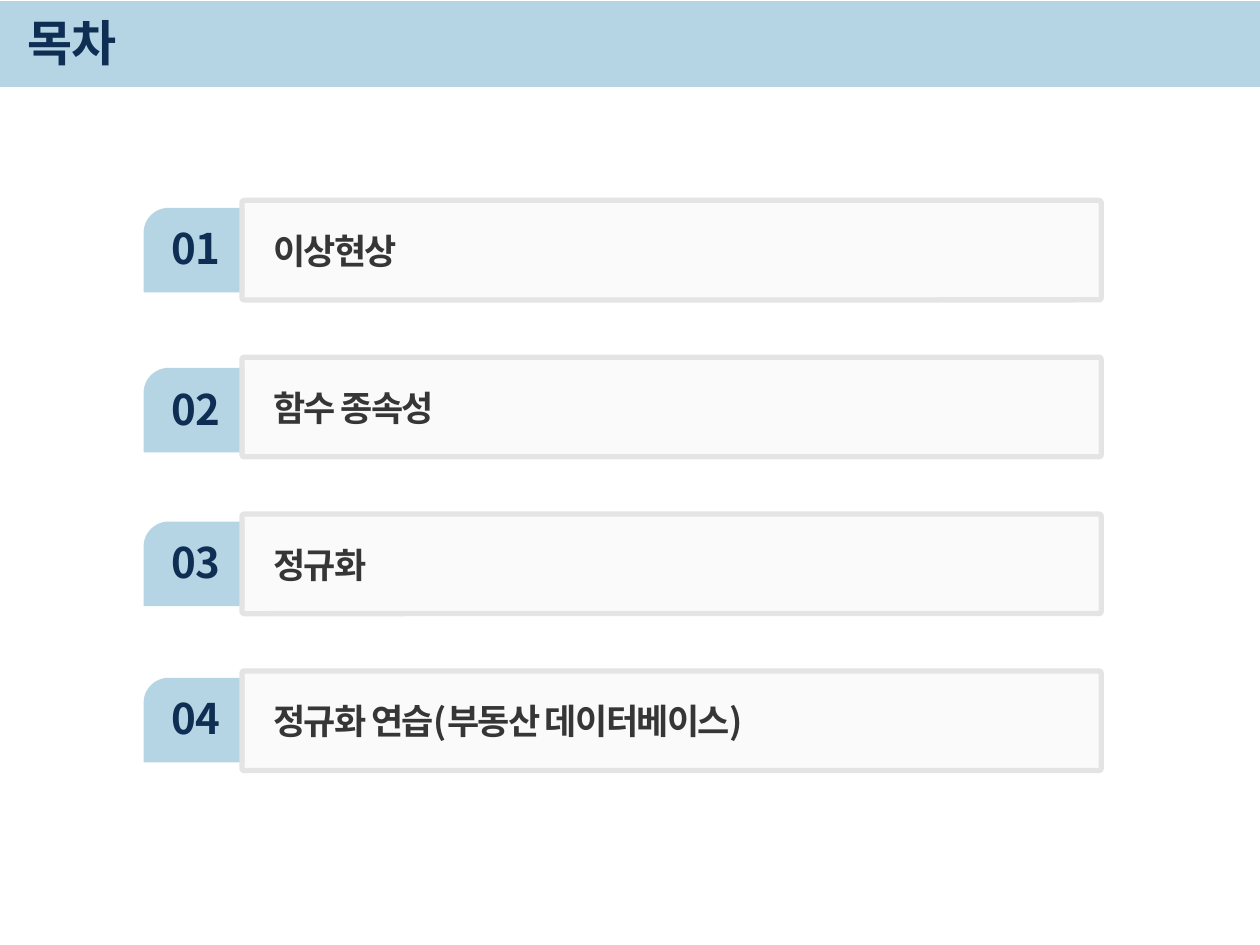
from dataclasses import dataclass
from typing import Optional

from lxml.etree import SubElement
from pptx import Presentation
from pptx.dml.color import RGBColor
from pptx.enum.shapes import MSO_SHAPE as Preset
from pptx.enum.text import MSO_ANCHOR as Anchor, PP_ALIGN as Align
from pptx.oxml.ns import qn
from pptx.util import Inches, Pt

FONT = "Noto Sans CJK KR"
COLORS = {
    "band": "B5D5E4",
    "navy": "0F2E53",
    "panel": "F2F2F2",
    "border": "E4E4E4",
    "text": "363636",
}
PANEL_TOP = 1.59
PANEL_PITCH = 1.245


@dataclass
class Box:
    left: float
    top: float
    width: float
    height: float

    def lengths(self):
        return [Inches(value) for value in (self.left, self.top, self.width, self.height)]


@dataclass
class Entry:
    title: str
    tab_top: float


@dataclass
class TextStyle:
    size: int
    color: str
    align: Align = Align.LEFT
    tracking: int = 0
    line_spacing: float = 1.0
    wrap: bool = True


ENTRIES = [
    Entry("이상현상", 1.65),
    Entry("함수 종속성", 2.92),
    Entry("정규화", 4.14),
    Entry("정규화 연습(부동산 데이터베이스)", 5.38),
]
HEADING = TextStyle(28, "navy", tracking=-100)
NUMBER = TextStyle(24, "navy", align=Align.CENTER, wrap=False)
LABEL = TextStyle(20, "text", tracking=-100, line_spacing=1.1)


def rgb(name: str) -> RGBColor:
    return RGBColor.from_string(COLORS[name])


def set_attributes(target, values: dict) -> None:
    for name, value in values.items():
        setattr(target, name, value)


def add_block(slide, preset, box: Box, fill: str, adjustments=(),
              opacity: Optional[int] = None, border: Optional[str] = None):
    shape = slide.shapes.add_shape(preset, *box.lengths())
    shape.shadow.inherit = False
    for index, value in enumerate(adjustments):
        shape.adjustments[index] = value
    shape.fill.solid()
    shape.fill.fore_color.rgb = rgb(fill)
    if opacity is not None:
        color = shape.fill._xPr.find(".//" + qn("a:srgbClr"))
        SubElement(color, qn("a:alpha")).set("val", str(opacity * 1000))
    if border:
        shape.line.color.rgb = rgb(border)
        shape.line.width = Pt(3)
    else:
        shape.line.fill.background()
    return shape


def write_text(shape, text: str, style: TextStyle) -> None:
    frame = shape.text_frame
    set_attributes(frame, {"word_wrap": style.wrap, "vertical_anchor": Anchor.MIDDLE})
    paragraph = frame.paragraphs[0]
    set_attributes(paragraph, {
        "alignment": style.align,
        "line_spacing": style.line_spacing,
        "space_before": Pt(0),
    })
    run = paragraph.add_run()
    run.text = text
    set_attributes(run.font, {"name": FONT, "size": Pt(style.size), "bold": True})
    run.font.color.rgb = rgb(style.color)
    properties = run._r.get_or_add_rPr()
    properties.set("spc", str(style.tracking))
    SubElement(properties, qn("a:ea")).set("typeface", FONT)


def add_text(slide, box: Box, text: str, style: TextStyle) -> None:
    write_text(slide.shapes.add_textbox(*box.lengths()), text, style)


def add_entry(slide, index: int, entry: Entry) -> None:
    panel_top = PANEL_TOP + index * PANEL_PITCH
    add_block(slide, Preset.SNIP_ROUND_RECTANGLE, Box(1.14, entry.tab_top, 0.8, 0.67),
              "band", (0.296, 0))
    add_text(slide, Box(1.26, entry.tab_top + 0.07, 0.59, 0.5), f"{index + 1:02}", NUMBER)
    add_block(slide, Preset.ROUNDED_RECTANGLE, Box(1.92, panel_top, 6.82, 0.79),
              "panel", (0.023,), opacity=33, border="border")
    add_text(slide, Box(2.07, panel_top + 0.16, 5.28, 0.44), entry.title, LABEL)


def main() -> None:
    presentation = Presentation()
    set_attributes(presentation, {"slide_width": Inches(10), "slide_height": Inches(7.5)})
    slide = presentation.slides.add_slide(presentation.slide_layouts[5])

    band = add_block(slide, Preset.RECTANGLE, Box(0, 0.01, 10, 0.68), "band")
    title = slide.shapes.title
    title._element.addprevious(band._element)
    left, top, width, height = Box(0.12, 0.07, 8.51, 0.52).lengths()
    set_attributes(title, {"left": left, "top": top, "width": width, "height": height})
    write_text(title, "목차", HEADING)

    for index, entry in enumerate(ENTRIES):
        add_entry(slide, index, entry)
    presentation.save("out.pptx")


if __name__ == "__main__":
    main()
